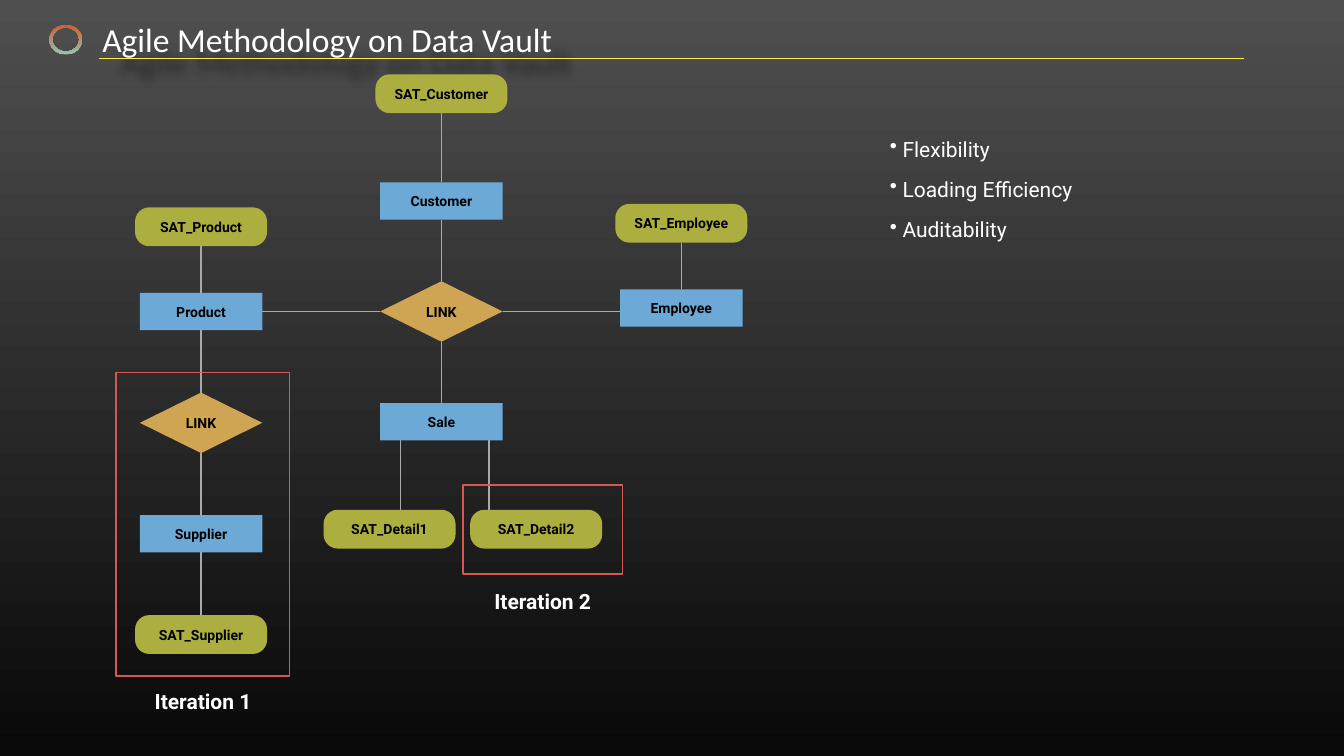
"""Build the data vault agile methodology slide."""
from dataclasses import dataclass

from lxml import etree
from pptx import Presentation
from pptx import util as u
from pptx.dml.color import RGBColor
from pptx.enum import shapes, text
from pptx.oxml import ns


@dataclass(frozen=True)
class Theme:
    """Hold the colours, fonts and type sizes."""
    background: tuple = ("4F4F4F", "090909")
    emblem: tuple = ("CF5C37", "8FC5AE")
    hub: str = "6CA9D6"
    link: str = "CFA452"
    satellite: str = "ACAE40"
    connector: str = "A6AAA8"
    frame: str = "D45854"
    rule: str = "F8EF4A"
    light: str = "FFFFFF"
    dark: str = "000000"
    heading_font: str = "Calibri"
    body_font: str = "Roboto"
    title_size: int = 48
    body_size: int = 30
    node_size: int = 20


def colour(value):
    """Turn a hex string into a colour."""
    return RGBColor.from_string(value)


def add_xml(parent, tag, **attributes):
    """Append a DrawingML element and return it."""
    return etree.SubElement(parent, ns.qn(tag), attributes)


def paint_gradient(fill, colours):
    """Fill from top to bottom with two colours."""
    fill.gradient()
    fill.gradient_angle = 270
    for stop, value in zip(fill.gradient_stops, colours):
        stop.color.rgb = colour(value)


def write(frame, content, *, font, size, ink, bold=False, align=text.PP_ALIGN.LEFT,
          inset=0.08, wrap=True, bullet=None, spacing=None):
    """Write each line of the content as a formatted paragraph."""
    frame.word_wrap = wrap
    frame.vertical_anchor = text.MSO_ANCHOR.MIDDLE
    frame.margin_left = frame.margin_right = u.Inches(inset)
    frame.margin_top = frame.margin_bottom = u.Inches(inset)
    for index, line in enumerate(content.split("\n")):
        para = frame.add_paragraph() if index else frame.paragraphs[0]
        para.alignment = align
        if spacing:
            para.line_spacing = spacing
        if bullet:
            indent = u.Inches(0.25)
            properties = para._p.get_or_add_pPr()
            properties.set("marL", str(indent))
            properties.set("indent", str(-indent))
            add_xml(properties, "a:buChar", char=bullet)
        span = para.add_run()
        span.text = line
        span.font.name = font
        span.font.size = u.Pt(size)
        span.font.bold = bold
        span.font.color.rgb = colour(ink)


class Painter:
    """Draw styled elements on the current slide."""

    def __init__(self, theme, page):
        """Keep the theme and the slide."""
        self.theme = theme
        self.page = page

    def shape(self, kind, left, top, width, height):
        """Add a preset shape without a shadow."""
        shape = self.page.shapes.add_shape(kind, *map(u.Inches, (left, top, width, height)))
        shape.shadow.inherit = False
        return shape

    def emblem(self, left, top, width, height):
        """Add a plain gradient ring."""
        ring = self.shape(shapes.MSO_SHAPE.DONUT, left, top, width, height)
        ring.adjustments[0] = 0.1
        paint_gradient(ring.fill, self.theme.emblem)
        ring.line.fill.background()

    def node(self, kind, label, centre, middle):
        """Add a labelled diagram node around its centre."""
        preset, width, height, fill = {
            "hub": (shapes.MSO_SHAPE.RECTANGLE, 2.43, 0.74, self.theme.hub),
            "link": (shapes.MSO_SHAPE.DIAMOND, 2.43, 1.2, self.theme.link),
            "satellite": (shapes.MSO_SHAPE.ROUNDED_RECTANGLE, 2.62, 0.77, self.theme.satellite),
        }[kind]
        node = self.shape(preset, centre - width / 2, middle - height / 2, width, height)
        if kind == "satellite":
            node.adjustments[0] = 0.366
        node.fill.solid()
        node.fill.fore_color.rgb = colour(fill)
        node.line.fill.background()
        write(node.text_frame, label, font=self.theme.body_font, size=self.theme.node_size,
              ink=self.theme.dark, bold=True, align=text.PP_ALIGN.CENTER, inset=0.06,
              wrap=kind != "link")
        return node

    def frame(self, left, top, width, height):
        """Outline an iteration."""
        frame = self.shape(shapes.MSO_SHAPE.RECTANGLE, left, top, width, height)
        frame.fill.background()
        frame.line.color.rgb = colour(self.theme.frame)
        frame.line.width = u.Pt(2)

    def line(self, start, end, ink, weight):
        """Add a straight line between two points."""
        line = self.page.shapes.add_connector(
            shapes.MSO_CONNECTOR.STRAIGHT, *map(u.Inches, (*start, *end)))
        line.line.color.rgb = colour(ink)
        line.line.width = u.Pt(weight)
        add_xml(line._element.spPr, "a:effectLst")
        return line

    def join(self, first, first_side, second, second_side):
        """Connect the sides of two nodes."""
        line = self.line((0, 0), (1, 1), self.theme.connector, 2)
        line.begin_connect(first, first_side)
        line.end_connect(second, second_side)

    def text(self, content, left, top, width, height, **style):
        """Add a text box."""
        box = self.page.shapes.add_textbox(*map(u.Inches, (left, top, width, height)))
        settings = {"font": self.theme.body_font, "size": self.theme.body_size,
                    "ink": self.theme.light, **style}
        write(box.text_frame, content, **settings)
        return box

    def title(self, content, left, top, width, height):
        """Add the title with its soft shadow."""
        box = self.text(content, left, top, width, height,
                        font=self.theme.heading_font, size=self.theme.title_size)
        effects = add_xml(box._element.spPr, "a:effectLst")
        shadow = add_xml(effects, "a:outerShdw", blurRad=str(u.Inches(0.2)),
                         dist=str(u.Inches(0.55)), dir="2940000", rotWithShape="0")
        ink = add_xml(shadow, "a:srgbClr", val=self.theme.dark)
        add_xml(ink, "a:alpha", val="50000")


def main():
    """Build and save the slide."""
    theme = Theme()
    deck = Presentation()
    deck.slide_width, deck.slide_height = u.Inches(26.67), u.Inches(15)
    page = deck.slides.add_slide(deck.slide_layouts[6])
    paint_gradient(page.background.fill, theme.background)
    painter = Painter(theme, page)

    painter.title("Agile Methodology on Data Vault", 1.95, 0.39, 10.57, 0.77)
    painter.line((1.97, 1.15), (24.69, 1.15), theme.rule, 1)
    painter.emblem(0.98, 0.49, 0.65, 0.59)

    product_x, sale_x, employee_x = 3.99, 8.76, 13.52
    columns = (
        (product_x, (("satellite", "SAT_Product", 4.5), ("hub", "Product", 6.18),
                     ("link", "LINK", 8.39), ("hub", "Supplier", 10.59),
                     ("satellite", "SAT_Supplier", 12.59))),
        (sale_x, (("satellite", "SAT_Customer", 1.86), ("hub", "Customer", 3.99),
                  ("link", "LINK", 6.18), ("hub", "Sale", 8.37))),
        (employee_x, (("satellite", "SAT_Employee", 4.43), ("hub", "Employee", 6.11))),
    )
    chains = []
    for centre, nodes in columns:
        chain = [painter.node(kind, label, centre, middle) for kind, label, middle in nodes]
        for upper, lower in zip(chain, chain[1:]):
            painter.join(upper, 2, lower, 0)
        chains.append(chain)

    product, sale_link = chains[0][1], chains[1][2]
    painter.join(product, 3, sale_link, 1)
    employee_line = painter.line((9.97, 6.18), (12.31, 6.18), theme.connector, 2)
    employee_line.begin_connect(sale_link, 3)

    for label, centre, line_x in (("SAT_Detail1", 7.73, 7.95), ("SAT_Detail2", 10.64, 9.7)):
        painter.line((line_x, 8.74), (line_x, 10.11), theme.connector, 2)
        painter.node("satellite", label, centre, 10.5)

    iterations = (
        ("Iteration 1", (2.3, 7.39, 3.45, 6.02), (2.95, 13.59)),
        ("Iteration 2", (9.19, 9.62, 3.16, 1.77), (9.69, 11.59)),
    )
    for label, bounds, corner in iterations:
        painter.frame(*bounds)
        painter.text(label, *corner, 2.16, 0.66, bold=True,
                     align=text.PP_ALIGN.CENTER, wrap=False)

    painter.text("Flexibility\nLoading Efficiency\nAuditability", 17.58, 2.47, 3.98, 2.26,
                 bullet="•", spacing=1.6, wrap=False)
    deck.save("out.pptx")


if __name__ == "__main__":
    main()
